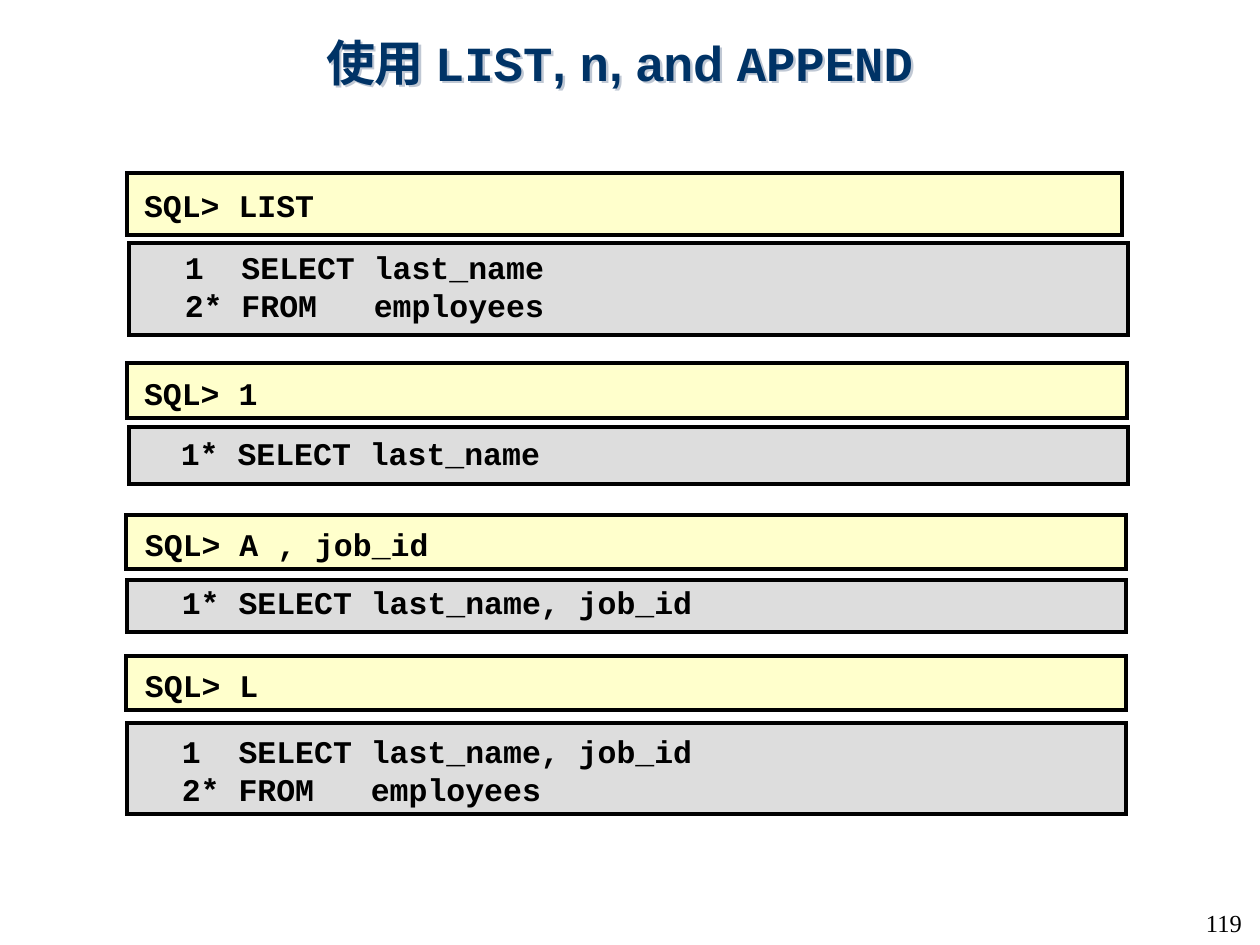
from lxml import etree
from pptx import Presentation
from pptx.dml.color import RGBColor
from pptx.enum.shapes import MSO_SHAPE
from pptx.enum.text import MSO_ANCHOR, MSO_AUTO_SIZE, PP_ALIGN
from pptx.oxml.ns import qn
from pptx.util import Emu, Pt

RECT = MSO_SHAPE.RECTANGLE
TOP, MIDDLE = MSO_ANCHOR.TOP, MSO_ANCHOR.MIDDLE
NONE, GROW = MSO_AUTO_SIZE.NONE, MSO_AUTO_SIZE.SHAPE_TO_FIT_TEXT
CENTER = PP_ALIGN.CENTER

BLACK = RGBColor(0x00, 0x00, 0x00)
NAVY = RGBColor(0x00, 0x33, 0x66)
CREAM = RGBColor(0xFF, 0xFF, 0xCC)
GRAY = RGBColor(0xDD, 0xDD, 0xDD)
SHADE = RGBColor(0xC0, 0xC8, 0xD4)

SANS, MONO, SERIF = "Arial", "Courier New", "Times New Roman"
SCALE = 914400 / 126

TITLE = [("使用 ", SANS), ("LIST", MONO), (", ", SANS), ("n", MONO),
         (", and ", SANS), ("APPEND", MONO)]

# Each step: prompt bar, prompt box, prompt, result bar, result box, result
STEPS = [
    ((127, 173, 995, 62), (131, 179, 999, 52), "SQL> LIST",
     (129, 243, 999, 92), (134, 242, 422, 88),
     "  1  SELECT last_name\n  2* FROM   employees"),
    ((127, 363, 1000, 55), (131, 377, 1004, 32), "SQL> 1",
     (129, 427, 999, 57), (130, 428, 422, 50),
     "  1* SELECT last_name"),
    ((126, 515, 1000, 54), (132, 529, 1004, 29), "SQL> A , job_id",
     (127, 580, 999, 52), (131, 577, 573, 50),
     "  1* SELECT last_name, job_id"),
    ((126, 656, 1000, 54), (132, 670, 1004, 29), "SQL> L",
     (127, 723, 999, 91), (131, 726, 573, 88),
     "  1  SELECT last_name, job_id\n  2* FROM   employees"),
]


def px(n):
    return Emu(round(n * SCALE))


class Board:
    def __init__(self, slide):
        self.slide = slide

    def style(self, font, face, size, color, bold=True):
        font.name, font.size, font.bold = face, Pt(size), bold
        font.color.rgb = color

    def inset(self, frame, left, top, right, bottom):
        frame.margin_left, frame.margin_top = px(left), px(top)
        frame.margin_right, frame.margin_bottom = px(right), px(bottom)

    def shade(self, shape):
        """Leave the shape unfilled, so that its letters cast the shadow."""
        shape.fill.background()
        effects = etree.SubElement(shape._element.spPr, qn("a:effectLst"))
        shadow = etree.SubElement(effects, qn("a:outerShdw"),
                                  dist="25400", dir="2700000")
        etree.SubElement(shadow, qn("a:srgbClr"), val=str(SHADE))

    def title(self, box, parts):
        shape = self.slide.shapes.title
        shape.left, shape.top, shape.width, shape.height = map(px, box)
        self.shade(shape)
        frame = shape.text_frame
        frame.vertical_anchor = TOP
        frame.auto_size = NONE
        line = frame.paragraphs[0]
        line.alignment = CENTER
        for text, face in parts:
            run = line.add_run()
            run.text = text
            self.style(run.font, face, 28, NAVY)

    def bar(self, box, fill):
        shape = self.slide.shapes.add_shape(RECT, *map(px, box))
        shape.shadow.inherit = False
        shape.fill.solid()
        shape.fill.fore_color.rgb = fill
        shape.line.color.rgb = BLACK
        shape.line.width = Pt(2)
        edge = shape._element.spPr.find(qn("a:ln"))
        etree.SubElement(edge, qn("a:miter"), lim="800000")

    def text(self, box, text):
        frame = self.slide.shapes.add_textbox(*map(px, box)).text_frame
        frame.text = text
        return frame

    def code(self, box, text, anchor, fit):
        frame = self.text(box, text)
        frame.word_wrap = False
        frame.auto_size = fit
        frame.vertical_anchor = anchor
        self.inset(frame, 13, 6, 0, 6)
        for line in frame.paragraphs:
            line.line_spacing = Pt(21.6)
            self.style(line.runs[0].font, MONO, 18, BLACK)

    def number(self, box, text):
        frame = self.text(box, text)
        frame.word_wrap = True
        frame.auto_size = GROW
        self.inset(frame, 0, 0, 0, 0)
        self.style(frame.paragraphs[0].runs[0].font, SERIF, 14, BLACK, False)


def main():
    deck = Presentation()
    deck.slide_width, deck.slide_height = px(1260), px(945)
    board = Board(deck.slides.add_slide(deck.slide_layouts[5]))
    board.title((84, 26, 1071, 73), TITLE)
    for bar, box, prompt, out_bar, out_box, result in STEPS:
        board.bar(bar, CREAM)
        board.bar(out_bar, GRAY)
        board.code(box, prompt, MIDDLE, NONE)
        board.code(out_box, result, TOP, GROW)
    board.number((1206, 908, 42, 29), "119")
    deck.save("out.pptx")


if __name__ == "__main__":
    main()
